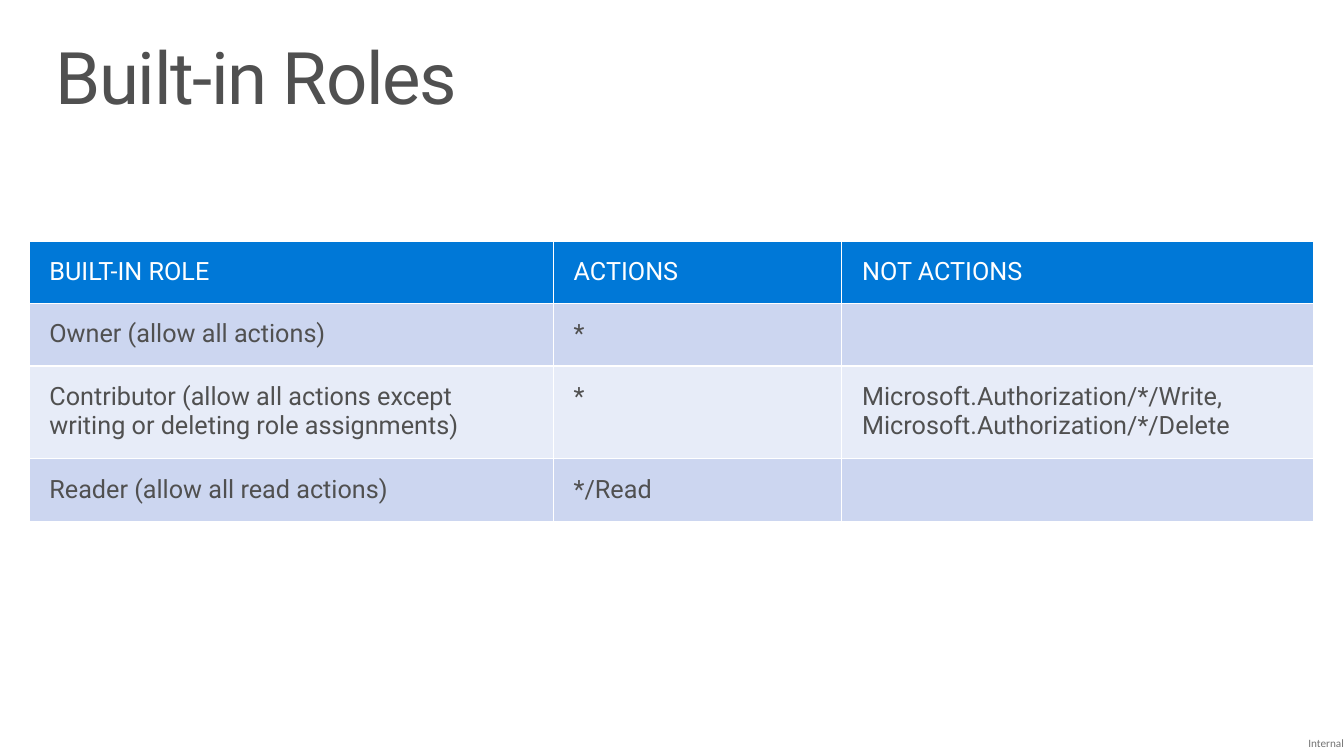
from dataclasses import dataclass

from lxml.etree import SubElement
from pptx import Presentation
from pptx.dml.color import RGBColor
from pptx.enum.text import MSO_ANCHOR, MSO_AUTO_SIZE, PP_ALIGN
from pptx.oxml.ns import qn
from pptx.util import Inches, Pt


@dataclass(frozen=True)
class Theme:
    font: str = "Roboto"
    label_font: str = "Calibri"
    title_size: float = 51.8
    table_size: float = 18
    label_size: float = 8
    text: str = "505050"
    label: str = "737373"
    white: str = "FFFFFF"
    header: str = "0078D7"
    bands: tuple = ("CCD6F0", "E7ECF8")


THEME = Theme()
COLUMN_WIDTHS = (5.2, 2.86, 4.68)
ROW_HEIGHTS = (0.61, 0.61, 0.9, 0.61)
ROLES = (
    ("BUILT-IN ROLE", "ACTIONS", "NOT ACTIONS"),
    ("Owner (allow all actions)", "*", ""),
    (
        "Contributor (allow all actions except writing or deleting role assignments)",
        "*",
        "Microsoft.Authorization/*/Write, Microsoft.Authorization/*/Delete",
    ),
    ("Reader (allow all read actions)", "*/Read", ""),
)


def set_attributes(target, values):
    for name, value in values.items():
        setattr(target, name, value)


def set_margins(target, horizontal, vertical):
    for side in ("left", "right"):
        setattr(target, f"margin_{side}", Inches(horizontal))
    for side in ("top", "bottom"):
        setattr(target, f"margin_{side}", Inches(vertical))


def format_font(font, name, size, color):
    set_attributes(font, {"name": name, "size": Pt(size), "bold": False})
    font.color.rgb = RGBColor.from_string(color)


def add_borders(cell, color, width):
    properties = cell._tc.get_or_add_tcPr()
    for edge in ("L", "R", "T", "B"):
        line = SubElement(properties, qn(f"a:ln{edge}"), w=str(Pt(width)))
        fill = SubElement(line, qn("a:solidFill"))
        SubElement(fill, qn("a:srgbClr"), val=color)


def add_title(slide, left, top, width, height):
    title = slide.shapes.title
    set_attributes(title, {
        "left": Inches(left), "top": Inches(top),
        "width": Inches(width), "height": Inches(height),
    })
    frame = title.text_frame
    set_attributes(frame, {
        "text": "Built-in Roles", "word_wrap": True,
        "vertical_anchor": MSO_ANCHOR.TOP, "auto_size": MSO_AUTO_SIZE.NONE,
    })
    set_margins(frame, 0.16, 0.1)
    paragraph = frame.paragraphs[0]
    set_attributes(paragraph, {"alignment": PP_ALIGN.LEFT, "line_spacing": 0.9})
    run = paragraph.runs[0]
    format_font(run.font, THEME.font, THEME.title_size, THEME.text)
    run._r.get_or_add_rPr().set("spc", "-100")


def add_roles_table(slide, left, top):
    shape = slide.shapes.add_table(
        len(ROLES), len(COLUMN_WIDTHS), Inches(left), Inches(top),
        Inches(sum(COLUMN_WIDTHS)), Inches(sum(ROW_HEIGHTS)),
    )
    table = shape.table
    for column, width in zip(table.columns, COLUMN_WIDTHS):
        column.width = Inches(width)
    for row_index, (row, height) in enumerate(zip(table.rows, ROW_HEIGHTS)):
        row.height = Inches(height)
        is_header = row_index == 0
        fill_color = THEME.header if is_header else THEME.bands[(row_index - 1) % 2]
        text_color = THEME.white if is_header else THEME.text
        for cell, text in zip(row.cells, ROLES[row_index]):
            cell.text = text
            cell.vertical_anchor = MSO_ANCHOR.MIDDLE if is_header else MSO_ANCHOR.TOP
            set_margins(cell, 0.2, 0.16)
            add_borders(cell, THEME.white, 1)
            cell.fill.solid()
            cell.fill.fore_color.rgb = RGBColor.from_string(fill_color)
            for run in cell.text_frame.paragraphs[0].runs:
                format_font(run.font, THEME.font, THEME.table_size, text_color)


def add_classification(slide, left, top, width, height):
    box = slide.shapes.add_textbox(
        Inches(left), Inches(top), Inches(width), Inches(height))
    frame = box.text_frame
    set_attributes(frame, {
        "text": "Internal", "word_wrap": False,
        "vertical_anchor": MSO_ANCHOR.MIDDLE,
        "auto_size": MSO_AUTO_SIZE.SHAPE_TO_FIT_TEXT,
    })
    set_margins(frame, 0, 0)
    paragraph = frame.paragraphs[0]
    set_attributes(paragraph, {"alignment": PP_ALIGN.RIGHT, "line_spacing": 0.9})
    format_font(paragraph.runs[0].font, THEME.label_font, THEME.label_size, THEME.label)


def main():
    presentation = Presentation()
    presentation.slide_width = Inches(13.33)
    presentation.slide_height = Inches(7.5)
    slide = presentation.slides.add_slide(presentation.slide_layouts[5])

    # Classification label, title and table of roles
    add_classification(slide, 12.72, 7.25, 0.61, 0.25)
    add_title(slide, 0.39, 0.32, 12.55, 0.98)
    add_roles_table(slide, 0.29, 2.39)

    presentation.save("out.pptx")


if __name__ == "__main__":
    main()
